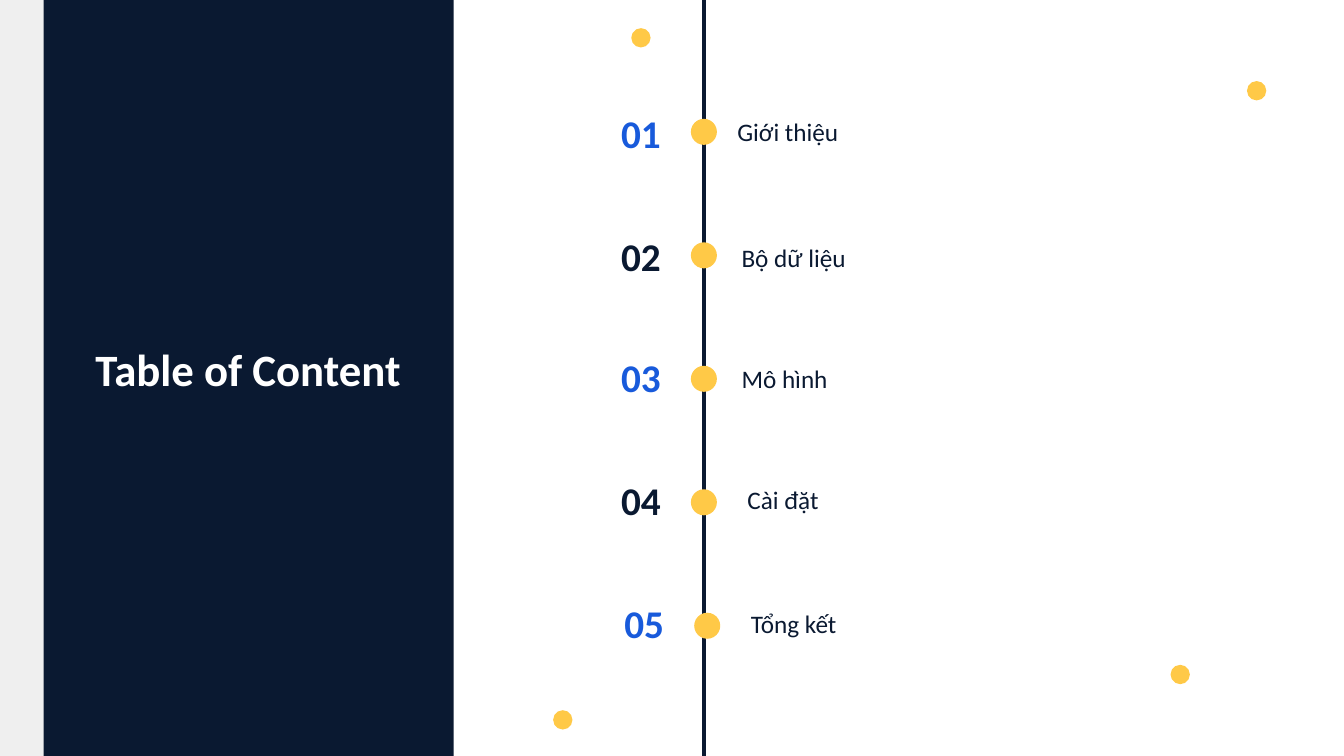
from lxml import etree
from pptx import Presentation, util as u
from pptx.dml.color import RGBColor
from pptx.enum import shapes, text
from pptx.oxml.ns import qn

COLUMNS, ROWS = 16, 9
CELL = u.Inches(7.5) / ROWS
NAVY, BLUE, YELLOW, GREY, WHITE = "0A1931", "185ADB", "FFC947", "EFEFEF", "FFFFFF"

TIMELINE_X, FIRST_ROW, ROW_STEP = 8.38, 1.57, 1.47
STOP_SIZE, ACCENT_SIZE = 0.31, 0.23
ACCENTS = [(6.7, 8.57), (14.05, 8.03), (14.96, 1.08), (7.63, 0.45)]
# topic, topic column, topic nudge, number nudge, stop shift
CONTENTS = [
    ("Giới thiệu", 8.66, 0, 0.01, 0),
    ("Bộ dữ liệu", 8.71, 0.02, 0.01, 0),
    ("Mô hình", 8.71, -0.01, -0.03, 0),
    ("Cài đặt", 8.78, -0.04, -0.03, 0),
    ("Tổng kết", 8.82, -0.03, -0.03, 0.04),
]


def grid(cells):
    return u.Emu(round(cells * CELL))


def paint(color_format, color):
    color_format.rgb = RGBColor.from_string(color)


def add_solid(slide, preset, left, top, width, height, color):
    solid = slide.shapes.add_shape(preset, *map(grid, (left, top, width, height)))
    solid.shadow.inherit = False
    solid.fill.solid()
    paint(solid.fill.fore_color, color)
    solid.line.fill.background()


def add_panel(slide, width, color):
    add_solid(slide, shapes.MSO_SHAPE.RECTANGLE, 0, 0, width, ROWS, color)


def add_dot(slide, x, y, size, color):
    add_solid(slide, shapes.MSO_SHAPE.OVAL, x - size / 2, y - size / 2, size, size, color)


def add_timeline(slide):
    timeline = slide.shapes.add_connector(
        shapes.MSO_CONNECTOR.STRAIGHT, *map(grid, (TIMELINE_X, 0, TIMELINE_X, ROWS)))
    paint(timeline.line.color, NAVY)
    timeline.line.width = u.Pt(3)
    etree.SubElement(timeline.element.spPr, qn("a:effectLst"))


def write(holder, words, size, color, bold=False, align=text.PP_ALIGN.LEFT, wrap=True):
    frame = holder.text_frame
    frame.text = words
    frame.word_wrap = wrap
    frame.auto_size = text.MSO_AUTO_SIZE.SHAPE_TO_FIT_TEXT
    frame.vertical_anchor = text.MSO_ANCHOR.MIDDLE
    paragraph = frame.paragraphs[0]
    paragraph.alignment = align
    font = paragraph.runs[0].font
    font.name, font.size, font.bold = "Calibri", u.Pt(size), bold
    paint(font.color, color)


def add_label(slide, left, middle, width, height, words, size, color, **style):
    label = slide.shapes.add_textbox(*map(grid, (left, middle - height / 2, width, height)))
    write(label, words, size, color, **style)


def place_title(slide, words):
    title = slide.shapes.title
    title.left, title.top, title.width, title.height = map(grid, (0.62, 4, 4.67, 0.77))
    write(title, words, 32, WHITE, bold=True, align=text.PP_ALIGN.CENTER, wrap=False)
    title.element.getparent().append(title.element)


def add_entry(slide, index, topic, topic_column, topic_nudge, number_nudge, shift):
    middle = FIRST_ROW + index * ROW_STEP
    add_dot(slide, TIMELINE_X + shift, middle, STOP_SIZE, YELLOW)
    add_label(slide, 7.21 + shift, middle + number_nudge, 0.84, 0.68, f"{index + 1:02d}", 28,
              NAVY if index % 2 else BLUE, bold=True, align=text.PP_ALIGN.CENTER)
    add_label(slide, topic_column, middle + topic_nudge, 4.16, 0.48, topic, 18, NAVY)


def main():
    deck = Presentation()
    deck.slide_width, deck.slide_height = grid(COLUMNS), grid(ROWS)
    slide = deck.slides.add_slide(deck.slide_layouts.get_by_name("Title Only"))
    slide.background.fill.solid()
    paint(slide.background.fill.fore_color, WHITE)
    add_timeline(slide)
    add_panel(slide, 5.4, NAVY)
    add_panel(slide, 0.52, GREY)
    for x, y in ACCENTS:
        add_dot(slide, x, y, ACCENT_SIZE, YELLOW)
    place_title(slide, "Table of Content")
    for index, entry in enumerate(CONTENTS):
        add_entry(slide, index, *entry)
    deck.save("out.pptx")


if __name__ == "__main__":
    main()
